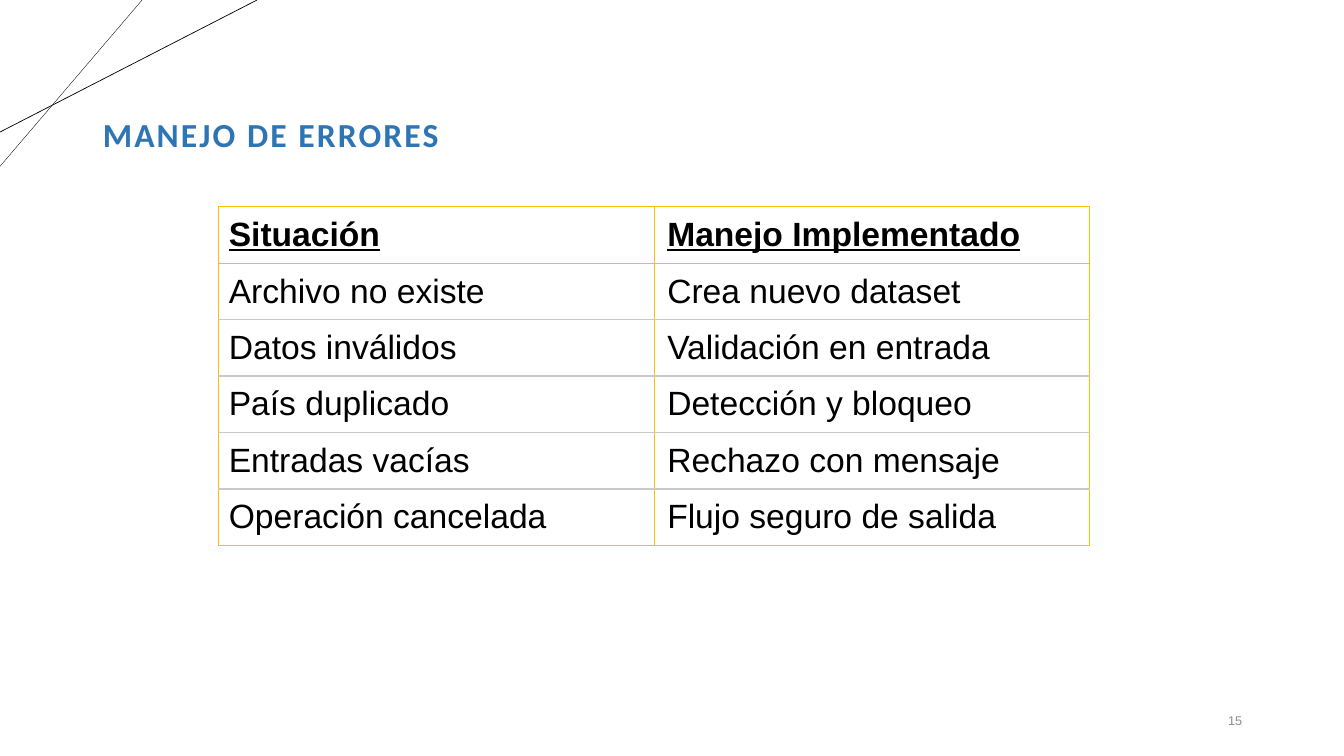
from lxml import etree
from pptx import Presentation
from pptx import util as u
from pptx.dml.color import RGBColor
from pptx.enum import shapes, text
from pptx.oxml.ns import qn

COLUMNS, ROWS = 160, 90  # slide grid


def color(hex_value):
    return RGBColor.from_string(hex_value)


class ErrorSlide:
    BLACK, BLUE, GOLD, SILVER, GRAY = "000000", "2E75B6", "FFC000", "C9C9C9", "8C8C8C"
    BODY, HEADING = "Arial", "Calibri"

    def __init__(self):
        self.deck = Presentation()
        self.deck.slide_width, self.deck.slide_height = u.Inches(13.33), u.Inches(7.5)
        self.slide = self.deck.slides.add_slide(self.deck.slide_layouts[5])

    def x(self, columns):
        return round(self.deck.slide_width * columns / COLUMNS)

    def y(self, rows):
        return round(self.deck.slide_height * rows / ROWS)

    def box(self, left, top, width, height):
        return self.x(left), self.y(top), self.x(width), self.y(height)

    def wording(self, frame, words, hex_value, align=text.PP_ALIGN.LEFT, **font_format):
        paragraph = frame.paragraphs[0]
        paragraph.alignment = align
        run = paragraph.add_run()
        run.text = words
        run.font.color.rgb = color(hex_value)
        for name, value in font_format.items():
            setattr(run.font, name, value)
        return run

    def ray(self, start, end, weight):
        line = self.slide.shapes.add_connector(
            shapes.MSO_CONNECTOR.STRAIGHT,
            self.x(start[0]), self.y(start[1]), self.x(end[0]), self.y(end[1]))
        line.line.color.rgb = color(self.BLACK)
        line.line.width = u.Pt(weight)
        etree.SubElement(line._element.spPr, qn("a:effectLst"))

    def title(self, words, *place):
        heading = self.slide.shapes.title
        heading.left, heading.top, heading.width, heading.height = self.box(*place)
        frame = heading.text_frame
        frame.vertical_anchor = text.MSO_ANCHOR.MIDDLE
        frame.auto_size = text.MSO_AUTO_SIZE.NONE
        run = self.wording(frame, words, self.BLUE,
                           name=self.HEADING, size=u.Pt(24), bold=True)
        run.font._element.set("spc", "150")
        frame.paragraphs[0].line_spacing = 0.9

    def page_number(self, number, *place):
        frame = self.slide.shapes.add_textbox(*self.box(*place)).text_frame
        frame.word_wrap = True
        frame.vertical_anchor = text.MSO_ANCHOR.MIDDLE
        self.wording(frame, number, self.GRAY, text.PP_ALIGN.RIGHT,
                     name=self.BODY, size=u.Pt(9))

    def borders(self, cell, top, bottom):
        sides = {"lnL": self.GOLD, "lnR": self.GOLD, "lnT": top, "lnB": bottom}
        properties = cell._tc.get_or_add_tcPr()
        for index, (side, hex_value) in enumerate(sides.items()):
            edge = etree.Element(qn(f"a:{side}"), w=str(u.Pt(1)))
            fill = etree.SubElement(edge, qn("a:solidFill"))
            etree.SubElement(fill, qn("a:srgbClr"), val=hex_value)
            properties.insert(index, edge)

    def table(self, records, left, top, column_width, row_height):
        count, width = len(records), len(records[0])
        place = self.box(left, top, column_width * width, row_height * count)
        grid = self.slide.shapes.add_table(count, width, *place).table
        grid.first_row = grid.horz_banding = False
        # Gold around the table and under the header, silver between records
        rules = [self.GOLD] * 2 + [self.SILVER] * (count - 2) + [self.GOLD]
        for r, record in enumerate(records):
            for c, words in enumerate(record):
                cell = grid.cell(r, c)
                cell_format = {
                    "vertical_anchor": text.MSO_ANCHOR.MIDDLE,
                    "margin_left": u.Inches(0.13 if c else 0.1),
                    "margin_right": u.Inches(0.1 if c and r else 0.13),
                    "margin_top": u.Inches(0.08),
                    "margin_bottom": u.Inches(0.08),
                }
                for name, value in cell_format.items():
                    setattr(cell, name, value)
                cell.fill.background()
                self.borders(cell, rules[r], rules[r + 1])
                self.wording(cell.text_frame, words, self.BLACK, name=self.BODY,
                             size=u.Pt(24), bold=r == 0, underline=r == 0)


def main():
    page = ErrorSlide()

    # Corner decoration
    page.ray((16.92, 0), (0, 19.8), 0.25)
    page.ray((30.6, 0), (0, 15.72), 0.5)

    # Heading and page number
    page.title("MANEJO DE ERRORES", 11.04, 11.76, 59.76, 9.12)
    page.page_number("15", 136.08, 83.4, 12.96, 4.8)

    # Situations and how each is handled
    page.table([
        ("Situación", "Manejo Implementado"),
        ("Archivo no existe", "Crea nuevo dataset"),
        ("Datos inválidos", "Validación en entrada"),
        ("País duplicado", "Detección y bloqueo"),
        ("Entradas vacías", "Rechazo con mensaje"),
        ("Operación cancelada", "Flujo seguro de salida"),
    ], 26.04, 24.6, 51.84, 6.47)

    page.deck.save("out.pptx")


if __name__ == "__main__":
    main()
